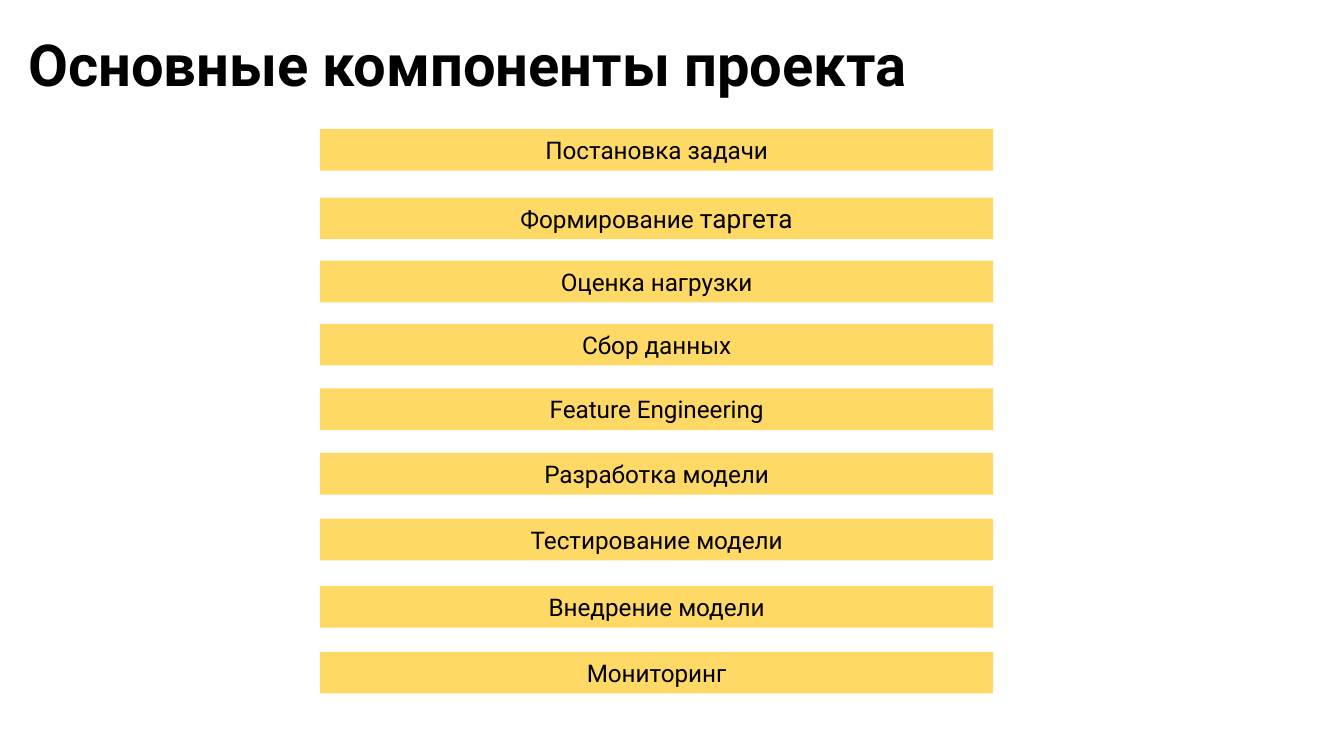
import pptx
import pptx.dml.color
import pptx.enum.shapes
import pptx.enum.text
import pptx.util

Inches = pptx.util.Inches
ALIGN = pptx.enum.text.PP_ALIGN
ANCHOR = pptx.enum.text.MSO_ANCHOR


def rgb(value):
    return pptx.dml.color.RGBColor.from_string(value)


def write(shape, runs, bold=False, align=ALIGN.LEFT, anchor=ANCHOR.TOP):
    """Fill the shape with one paragraph made of (text, size) runs."""
    frame = shape.text_frame
    frame.word_wrap = True
    frame.auto_size = pptx.enum.text.MSO_AUTO_SIZE.NONE
    frame.vertical_anchor = anchor
    frame.margin_left = frame.margin_right = Inches(0.1)
    frame.margin_top = frame.margin_bottom = Inches(0.1)
    paragraph = frame.paragraphs[0]
    paragraph.alignment = align
    for text, size in runs:
        run = paragraph.add_run()
        run.text = text
        run.font.name = "Roboto"
        run.font.size = pptx.util.Pt(size)
        run.font.bold = bold
        run.font.color.rgb = rgb("000000")


presentation = pptx.Presentation()
presentation.slide_width = Inches(10)
presentation.slide_height = Inches(10 * 9 / 16)
slide = presentation.slides.add_slide(presentation.slide_layouts[5])

heading = slide.shapes.title
heading.left, heading.top = Inches(0.11), Inches(0.11)
heading.width, heading.height = Inches(9.32), Inches(1.2)
write(heading, [("Основные компоненты проекта", 31)], bold=True)

# The steps are spaced slightly unevenly, so each has its own top.
steps = [
    (0.96, [("Постановка задачи", 13)]),
    (1.47, [("Формирование", 13), (" таргета", 14)]),
    (1.94, [("Оценка нагрузки", 13)]),
    (2.41, [("Сбор данных", 13)]),
    (2.89, [("Feature Engineering", 13)]),
    (3.37, [("Разработка модели", 13)]),
    (3.86, [("Тестирование модели", 13)]),
    (4.36, [("Внедрение модели", 13)]),
    (4.85, [("Мониторинг", 13)]),
]
for top, runs in steps:
    step = slide.shapes.add_shape(
        pptx.enum.shapes.MSO_SHAPE.RECTANGLE,
        Inches(2.38), Inches(top), Inches(5.01), Inches(0.31))
    step.shadow.inherit = False
    step.fill.solid()
    step.fill.fore_color.rgb = rgb("FFD966")
    step.line.fill.background()
    write(step, runs, align=ALIGN.CENTER, anchor=ANCHOR.MIDDLE)

presentation.save("out.pptx")
